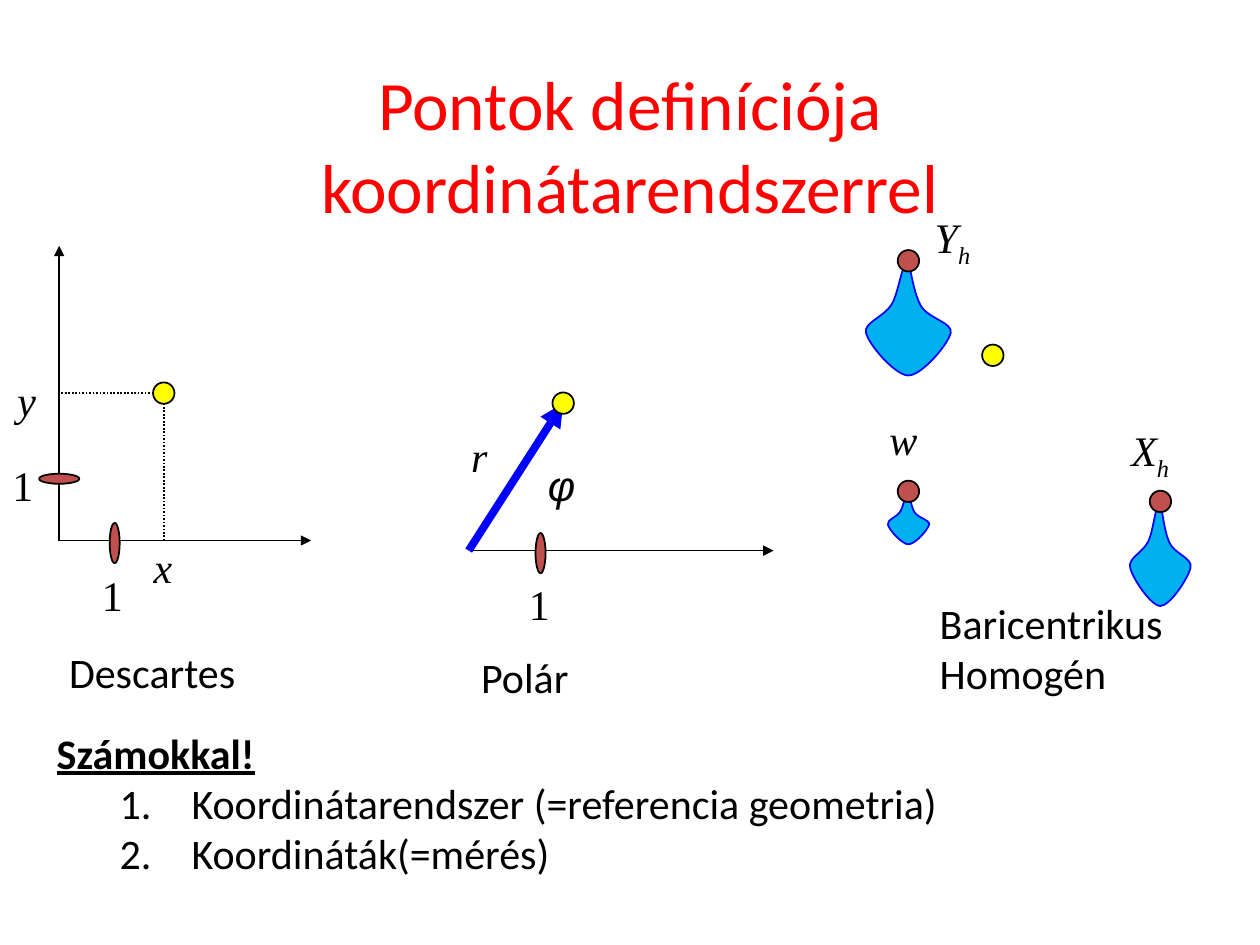
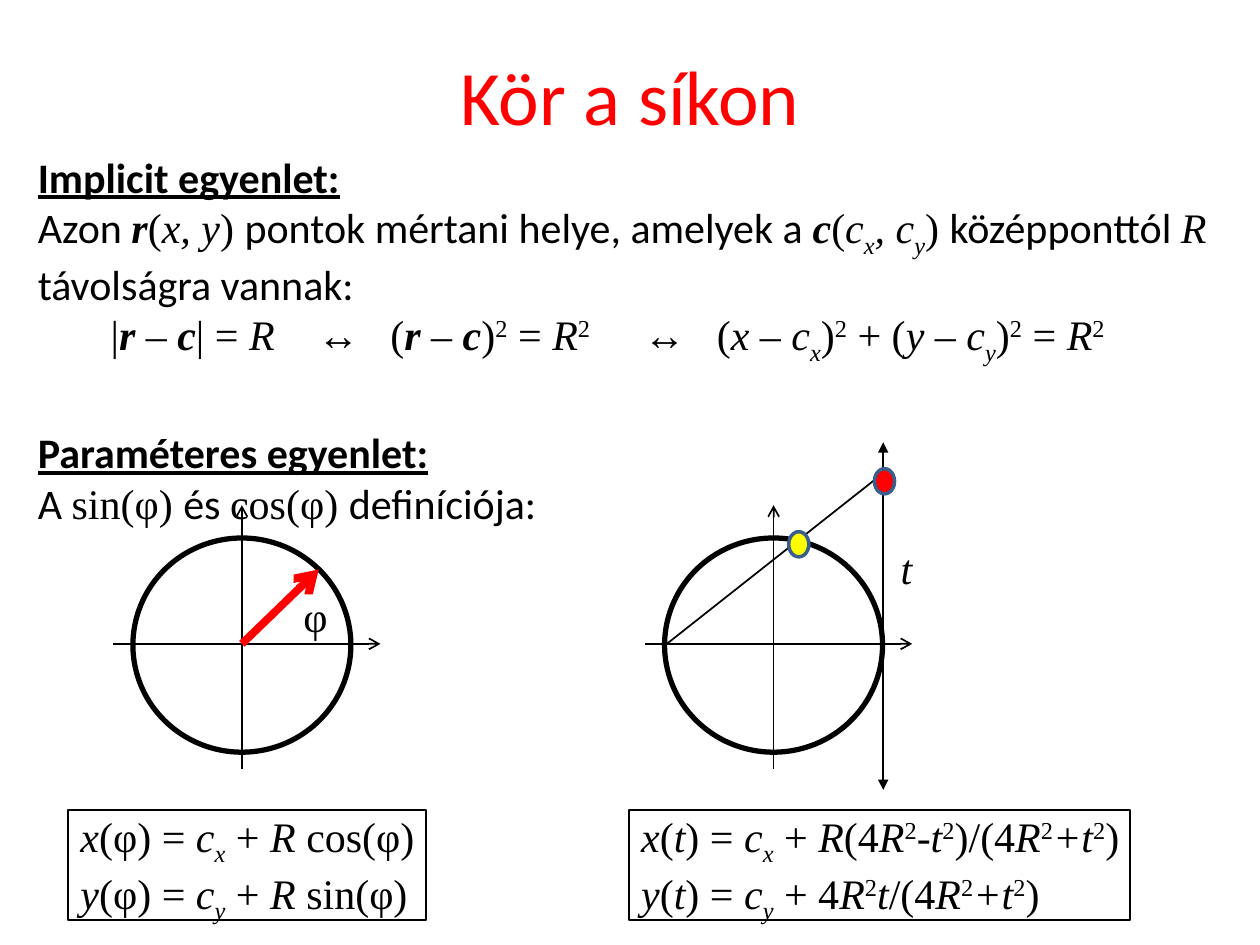
from dataclasses import dataclass
from itertools import groupby

from lxml import etree
from pptx import Presentation
from pptx.dml.color import RGBColor
from pptx.enum.dml import MSO_LINE
from pptx.enum.shapes import MSO_CONNECTOR, MSO_SHAPE
from pptx.enum.text import MSO_ANCHOR, MSO_AUTO_SIZE
from pptx.oxml.ns import qn
from pptx.util import Inches, Pt

ELLIPSE = MSO_SHAPE.OVAL
STRAIGHT = MSO_CONNECTOR.STRAIGHT
DOTTED = MSO_LINE.ROUND_DOT
TOP, MIDDLE = MSO_ANCHOR.TOP, MSO_ANCHOR.MIDDLE
NO_AUTOFIT, GROW = MSO_AUTO_SIZE.NONE, MSO_AUTO_SIZE.SHAPE_TO_FIT_TEXT


@dataclass(frozen=True)
class Theme:
    black: RGBColor = RGBColor(0, 0, 0)
    red: RGBColor = RGBColor(0xFF, 0, 0)
    blue: RGBColor = RGBColor(0, 0, 0xFF)
    yellow: RGBColor = RGBColor(0xFF, 0xFF, 0)
    brick: RGBColor = RGBColor(0xC0, 0x50, 0x4D)
    water: RGBColor = RGBColor(0, 0xB0, 0xF0)
    steel: RGBColor = RGBColor(0x3A, 0x5F, 0x8C)
    text_font: str = "Calibri"
    math_font: str = "Times New Roman"
    symbol_font: str = "Arial"
    title_size: float = 44
    long_title_size: float = 39.6
    text_size: float = 24
    thin: float = 1
    medium: float = 2
    thick: float = 3
    vector: float = 4.5


THEME = Theme()
TOGGLES = {"*": "bold", "~": "italic", "_": "underline", "$": "math"}
SCRIPTS = {"<": -25000, "^": 30000}

# Control points of a drop with half-width 1 and height 1, hanging from (0, 0);
# every three make one cubic curve
DROP_OUTLINE = [
    (-0.14, 0), (-0.22, 0.28), (-0.38, 0.38),
    (-0.55, 0.49), (-1.03, 0.54), (-0.96, 0.63),
    (-0.9, 0.73), (-0.3, 1), (0, 1),
    (0.3, 1), (0.9, 0.73), (0.96, 0.63),
    (1.02, 0.54), (0.43, 0.5), (0.28, 0.39),
    (0.13, 0.29), (0.05, 0.08), (0, 0),
]


def set_format(target, values):
    for name, value in values.items():
        setattr(target, name, value)


def styled_characters(markup):
    """Yield (character, style): TOGGLES switch a style, SCRIPTS move one character."""
    active, baseline = frozenset(), 0
    for character in markup:
        if character in TOGGLES:
            active = active ^ {TOGGLES[character]}
        elif character in SCRIPTS:
            baseline = SCRIPTS[character]
        else:
            yield character, (active, baseline)
            baseline = 0


def write_paragraph(paragraph, markup, size=THEME.text_size, color=THEME.black):
    for (active, baseline), group in groupby(styled_characters(markup), lambda item: item[1]):
        run = paragraph.add_run()
        run.text = "".join(character for character, _ in group)
        set_format(run.font, {
            "name": THEME.math_font if "math" in active else THEME.text_font,
            "size": Pt(size),
            "bold": "bold" in active,
            "italic": "italic" in active,
            "underline": "underline" in active,
        })
        run.font.color.rgb = color
        if baseline:
            run._r.get_or_add_rPr().set("baseline", str(baseline))


def write_lines(frame, lines):
    for index, markup in enumerate(lines):
        paragraph = frame.add_paragraph() if index else frame.paragraphs[0]
        write_paragraph(paragraph, markup)


def place(shape, left, top, width, height):
    set_format(shape, {"left": Inches(left), "top": Inches(top),
                       "width": Inches(width), "height": Inches(height)})


def set_title(slide, text, top, size):
    title = slide.shapes.title
    place(title, 0.75, top, 8.5, 1.25)
    set_format(title.text_frame, {"vertical_anchor": MIDDLE, "auto_size": NO_AUTOFIT})
    write_paragraph(title.text_frame.paragraphs[0], text, size, THEME.red)


def set_body(slide, box, lines):
    body = slide.placeholders[1]
    place(body, *box)
    set_format(body.text_frame, {"vertical_anchor": TOP, "auto_size": NO_AUTOFIT,
                                 "word_wrap": True})
    write_lines(body.text_frame, lines)
    for paragraph in body.text_frame.paragraphs:
        paragraph.space_before = Pt(0)
        set_bullet(paragraph, "buNone")
    return body.text_frame.paragraphs


def set_bullet(paragraph, tag, margin=0, hanging=0, **attributes):
    properties = paragraph._p.get_or_add_pPr()
    for old in properties.findall(qn("a:buNone")):
        properties.remove(old)
    properties.set("marL", str(Inches(margin)))
    properties.set("indent", str(-Inches(hanging)))
    etree.SubElement(properties, qn("a:" + tag), attributes)


def add_label(slide, left, top, width, *lines, height=0.5):
    box = slide.shapes.add_textbox(Inches(left), Inches(top), Inches(width), Inches(height))
    set_format(box.text_frame, {"word_wrap": False, "auto_size": GROW})
    write_lines(box.text_frame, lines)
    return box


def add_labels(slide, labels):
    for label in labels:
        add_label(slide, *label)


def add_formula_box(slide, left, width, *lines):
    box = add_label(slide, left, 6.43, width, *lines, height=0.87)
    set_format(box.text_frame, {"word_wrap": True, "auto_size": NO_AUTOFIT,
                                "margin_top": 0, "margin_right": 0})
    set_line(box.line, THEME.black, THEME.thin)


def set_line(line, color, width):
    line.color.rgb = color
    line.width = Pt(width)


def add_line(slide, start, end, color=THEME.black, width=THEME.thin,
             head=None, tail=None, dash=None):
    points = [Inches(value) for value in (*start, *end)]
    connector = slide.shapes.add_connector(STRAIGHT, *points)
    set_line(connector.line, color, width)
    if dash:
        connector.line.dash_style = dash
    outline = connector.line._get_or_add_ln()
    for tag, kind in (("a:headEnd", head), ("a:tailEnd", tail)):
        if kind:
            etree.SubElement(outline, qn(tag), type=kind)
    etree.SubElement(connector._element.spPr, qn("a:effectLst"))


def style_shape(shape, fill, line_color, line_width):
    shape.shadow.inherit = False
    if fill is None:
        shape.fill.background()
    else:
        shape.fill.solid()
        shape.fill.fore_color.rgb = fill
    set_line(shape.line, line_color, line_width)


def add_ellipse(slide, center, width, height, fill=None,
                line_color=THEME.black, line_width=THEME.thin):
    x, y = center
    ellipse = slide.shapes.add_shape(ELLIPSE, Inches(x - width / 2), Inches(y - height / 2),
                                     Inches(width), Inches(height))
    style_shape(ellipse, fill, line_color, line_width)


def add_point(slide, center, fill=THEME.yellow):
    add_ellipse(slide, center, 0.17, 0.17, fill)


def add_unit_mark(slide, center, width=0.08, height=0.32):
    add_ellipse(slide, center, width, height, THEME.brick)


def curve_segments(shape):
    """Turn every three straight segments of a freeform into one cubic curve."""
    segments = list(shape._element.iter(qn("a:lnTo")))
    for first, second, third in zip(segments[::3], segments[1::3], segments[2::3]):
        curve = etree.Element(qn("a:cubicBezTo"))
        first.addprevious(curve)
        for segment in (first, second, third):
            curve.append(segment[0])
            segment.getparent().remove(segment)


def add_weight(slide, tip, half_width, height):
    """Add a drop-shaped weight hanging from a point."""
    x, y = tip
    builder = slide.shapes.build_freeform(Inches(x), Inches(y))
    builder.add_line_segments([(Inches(x + half_width * u), Inches(y + height * v))
                               for u, v in DROP_OUTLINE], close=True)
    drop = builder.convert_to_shape()
    curve_segments(drop)
    style_shape(drop, THEME.water, THEME.blue, THEME.thin)
    add_point(slide, tip, THEME.brick)


def add_cartesian(slide):
    origin, point = (0.47, 4.29), (1.3, 3.12)
    for end in ((0.47, 1.95), (2.47, 4.29)):
        add_line(slide, origin, end, tail="triangle")
    for foot in ((point[0], origin[1]), (origin[0], point[1])):
        add_line(slide, point, foot, dash=DOTTED)
    add_unit_mark(slide, (0.91, 4.31))
    add_unit_mark(slide, (0.47, 3.8), 0.32, 0.08)
    add_point(slide, point)
    add_labels(slide, [
        (1.12, 4.25, 0.35, "$~x"),
        (0.04, 2.92, 0.35, "$~y"),
        (0.71, 4.47, 0.37, "$1"),
        (0, 3.6, 0.37, "$1"),
        (0.45, 5.08, 1.53, "Descartes"),
    ])


def add_polar(slide):
    origin, point = (3.72, 4.37), (4.47, 3.2)
    add_line(slide, origin, (6.14, 4.37), tail="triangle")
    add_line(slide, origin, point, THEME.blue, THEME.vector, tail="triangle")
    add_unit_mark(slide, (4.29, 4.39))
    add_point(slide, point)
    add_labels(slide, [
        (3.64, 3.37, 0.33, "$~r"),
        (4.1, 4.54, 0.37, "$1"),
        (3.72, 5.12, 0.91, "Polár"),
    ])
    angle = add_label(slide, 4.25, 3.6, 0.38, "~φ")
    angle.text_frame.paragraphs[0].runs[0].font.name = THEME.symbol_font


def add_barycentric(slide):
    for tip, half_width, height in (((7.21, 3.9), 0.17, 0.42), ((9.21, 3.98), 0.25, 0.83),
                                    ((7.21, 2.07), 0.35, 0.91)):
        add_weight(slide, tip, half_width, height)
    add_point(slide, (7.88, 2.82))
    add_labels(slide, [
        (8.88, 3.32, 0.52, "$~X<h"),
        (7.32, 1.63, 0.5, "$~Y<h"),
        (6.96, 3.23, 0.42, "$~w"),
        (7.36, 4.69, 2.01, "Baricentrikus", "Homogén"),
    ])


def add_circle_with_axes(slide, center_x):
    add_line(slide, (center_x, 6.1), (center_x, 4.01), tail="arrow")
    add_line(slide, (center_x - 1.02, 5.11), (center_x + 1.1, 5.11), tail="arrow")
    add_ellipse(slide, (center_x, 5.12), 1.73, 1.7, line_width=THEME.thick)


def build_points_slide(slide):
    set_title(slide, "Pontok definíciója koordinátarendszerrel", 0.52, THEME.long_title_size)
    paragraphs = set_body(slide, (0.35, 5.72, 9.65, 1.31), [
        "*_Számokkal!",
        "Koordinátarendszer (=referencia geometria)",
        "Koordináták(=mérés)",
    ])
    for paragraph in paragraphs[1:]:
        set_bullet(paragraph, "buAutoNum", 1.07, 0.57, type="arabicPeriod")
    add_cartesian(slide)
    add_polar(slide)
    add_barycentric(slide)


def build_circle_slide(slide):
    set_title(slide, "Kör a síkon", 0.13, THEME.title_size)
    paragraphs = set_body(slide, (0.2, 1.15, 9.8, 3.8), [
        "*_Implicit egyenlet:",
        "Azon $*~r~*(~x, y~) $pontok mértani helye, amelyek a "
        "$*~c~*(~c<x, c<y~) $középponttól $~R~$ távolságra vannak:",
        "*_Paraméteres egyenlet:",
        "A $sin(φ) $és $cos(φ) $definíciója:",
    ])
    paragraphs[2].space_before = Pt(67)
    equation_parts = [
        (0.78, 1.5, "$|*~r~* – *~c~*| = ~R"),
        (2.42, 0.53, "$↔"),
        (3, 1.79, "$(*~r~* – *~c~*)^2 = ~R~^2"),
        (5.01, 0.53, "$↔"),
        (5.59, 3.28, "$(~x~ – ~c<x~)^2 + (~y~ – ~c<y~)^2 = ~R~^2"),
    ]
    add_labels(slide, [(left, 2.4, width, text) for left, width, text in equation_parts])

    add_circle_with_axes(slide, 1.92)
    add_line(slide, (1.92, 5.11), (2.53, 4.52), THEME.red, THEME.vector, tail="arrow")
    add_label(slide, 2.31, 4.64, 0.38, "$φ")
    add_formula_box(slide, 0.54, 2.84, "$~x~(φ) = ~c<x~ + ~R ~cos(φ)",
                    "$~y~(φ) = ~c<y~ + ~R ~sin(φ)")

    add_circle_with_axes(slide, 6.14)
    add_line(slide, (7.01, 6.27), (7.01, 3.51), head="triangle", tail="triangle")
    add_line(slide, (5.28, 5.12), (6.94, 3.81))
    for center, fill in (((6.34, 4.32), THEME.yellow), ((7.02, 3.82), THEME.red)):
        add_ellipse(slide, center, 0.16, 0.2, fill, THEME.steel, THEME.medium)
    add_label(slide, 7.05, 4.26, 0.29, "$~t")
    add_formula_box(slide, 4.99, 3.98,
                    "$~x~(~t~) = ~c<x~ + ~R~(4~R~^2~-t~^2)/(4~R~^2~+t~^2)",
                    "$~y~(~t~) = ~c<y~ + 4~R~^2~t~/(4~R~^2~+t~^2)")


def main():
    presentation = Presentation()
    presentation.slide_width, presentation.slide_height = Inches(10), Inches(7.5)
    title_and_content = presentation.slide_layouts[1]
    for build in (build_points_slide, build_circle_slide):
        build(presentation.slides.add_slide(title_and_content))
    presentation.save("out.pptx")


if __name__ == "__main__":
    main()
